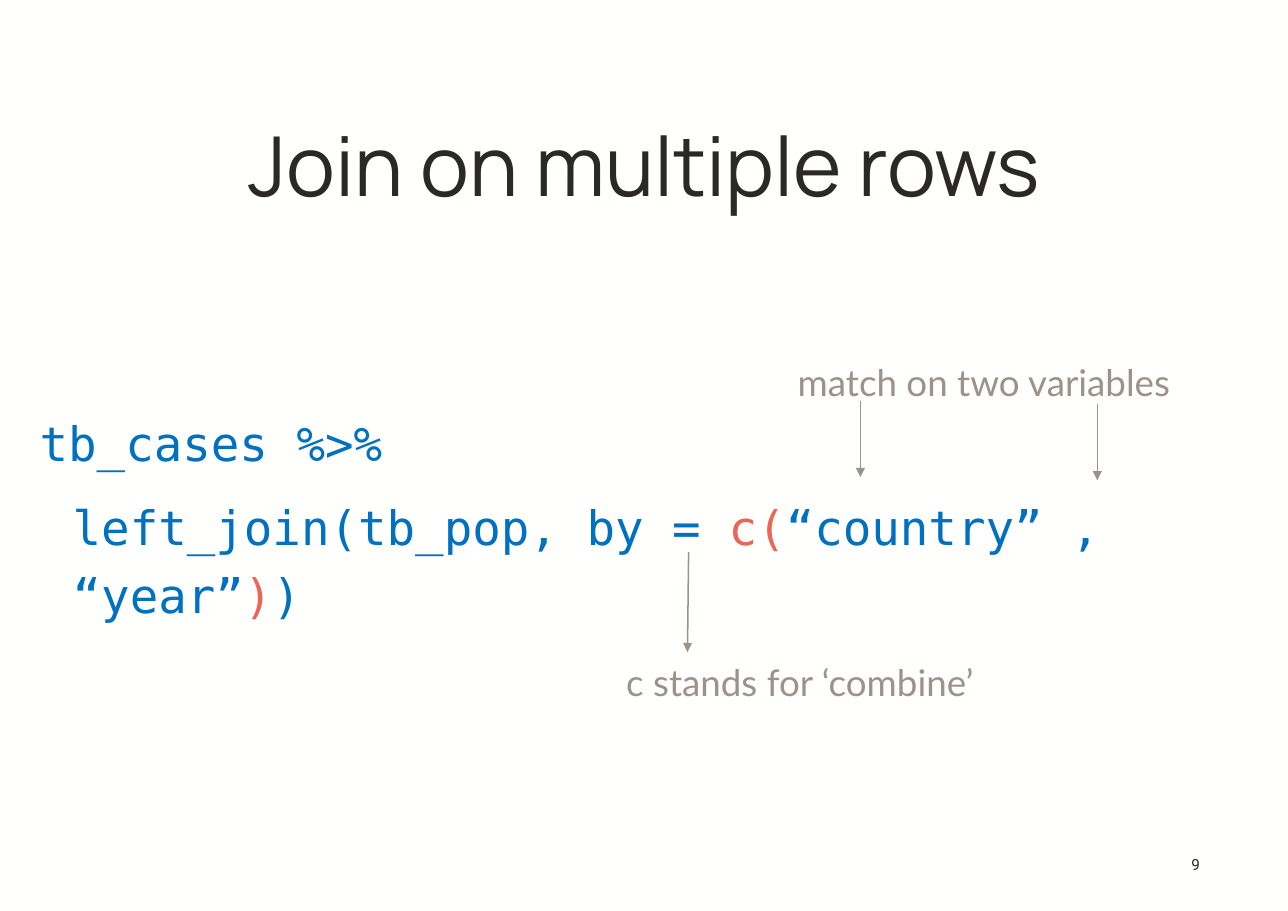
from dataclasses import dataclass

from lxml.etree import SubElement
from pptx import Presentation
from pptx.dml.color import RGBColor
from pptx.enum.shapes import MSO_CONNECTOR
from pptx.enum.text import MSO_ANCHOR, PP_ALIGN
from pptx.oxml.ns import qn
from pptx.util import Inches, Pt


@dataclass(frozen=True)
class Theme:
    background: str = "FFFFFE"
    ink: str = "2C2825"
    code: str = "0070C0"
    accent: str = "EC6555"
    note: str = "9D928A"
    title_font: str = "Manrope"
    code_font: str = "DejaVu Sans Mono"
    note_font: str = "Lato"
    number_font: str = "Roboto"
    title_size: int = 54
    code_size: int = 31
    note_size: int = 24
    number_size: int = 10


class SlideBuilder:
    def __init__(self, deck, theme):
        self.theme = theme
        self.page = deck.slides.add_slide(deck.slide_layouts[6])
        fill = self.page.background.fill
        fill.solid()
        fill.fore_color.rgb = RGBColor.from_string(theme.background)

    def text_frame(self, left, top, width, height, inset=0.08):
        box = self.page.shapes.add_textbox(
            Inches(left), Inches(top), Inches(width), Inches(height))
        frame = box.text_frame
        frame.word_wrap = True
        frame.margin_left = frame.margin_right = Inches(inset)
        frame.margin_top = frame.margin_bottom = Inches(min(inset, 0.08))
        return frame

    def style(self, paragraph, font, size, color=None):
        paragraph.font.name = font
        paragraph.font.size = Pt(size)
        if color:
            paragraph.font.color.rgb = RGBColor.from_string(color)

    def line_of_text(self, frame, text, font, size, color, align):
        paragraph = frame.paragraphs[0]
        paragraph.text = text
        paragraph.alignment = align
        self.style(paragraph, font, size, color)

    def title(self, text):
        frame = self.text_frame(0.73, 1.22, 10.24, 0.79)
        frame.vertical_anchor = MSO_ANCHOR.BOTTOM
        self.line_of_text(frame, text, self.theme.title_font,
                          self.theme.title_size, self.theme.ink, PP_ALIGN.CENTER)

    def page_number(self, text):
        frame = self.text_frame(10.18, 7.68, 0.79, 0.4)
        self.line_of_text(frame, text, self.theme.number_font,
                          self.theme.number_size, self.theme.ink, PP_ALIGN.RIGHT)

    def note(self, text, left, top):
        frame = self.text_frame(left, top, 5.4, 0.5, inset=0.1)
        self.line_of_text(frame, text, self.theme.note_font,
                          self.theme.note_size, self.theme.note, PP_ALIGN.CENTER)

    def code(self, lines):
        """Draw code lines, each an indent in inches and (text, colour) spans."""
        frame = self.text_frame(0.28, 3.58, 11.18, 2.2)
        for index, (indent, spans) in enumerate(lines):
            paragraph = frame.add_paragraph() if index else frame.paragraphs[0]
            paragraph.line_spacing = 1.2
            paragraph.space_after = Pt(10)
            properties = paragraph._p.get_or_add_pPr()
            properties.set("marL", str(Inches(indent)))
            properties.set("indent", "0")
            self.style(paragraph, self.theme.code_font, self.theme.code_size)
            for text, color in spans:
                span = paragraph.add_run()
                span.text = text
                span.font.color.rgb = RGBColor.from_string(color)

    def arrow(self, start, end):
        line = self.page.shapes.add_connector(
            MSO_CONNECTOR.STRAIGHT, *(Inches(value) for value in start + end))
        line.line.color.rgb = RGBColor.from_string(self.theme.note)
        line.line.width = Pt(1)
        SubElement(line.line._get_or_add_ln(), qn("a:tailEnd"), type="triangle")
        SubElement(line._element.spPr, qn("a:effectLst"))


def main():
    deck = Presentation()
    deck.slide_width, deck.slide_height = Inches(11.69), Inches(8.27)
    theme = Theme()
    slide = SlideBuilder(deck, theme)

    slide.title("Join on multiple rows")
    slide.code([
        (0, [("tb_cases %>%", theme.code)]),
        (0.3, [
            ("left_join(tb_pop, by = ", theme.code),
            ("c(", theme.accent),
            ("“country” , “year”", theme.code),
            (")", theme.accent),
            (")", theme.code),
        ]),
    ])
    slide.page_number("9")

    slide.note("match on two variables", 6.23, 3.19)
    slide.note("c stands for ‘combine’", 4.56, 5.91)
    for start, end in [
        ((7.81, 3.64), (7.81, 4.33)),
        ((9.96, 3.67), (9.96, 4.36)),
        ((6.25, 5.01), (6.24, 5.92)),
    ]:
        slide.arrow(start, end)

    deck.save("out.pptx")


if __name__ == "__main__":
    main()
